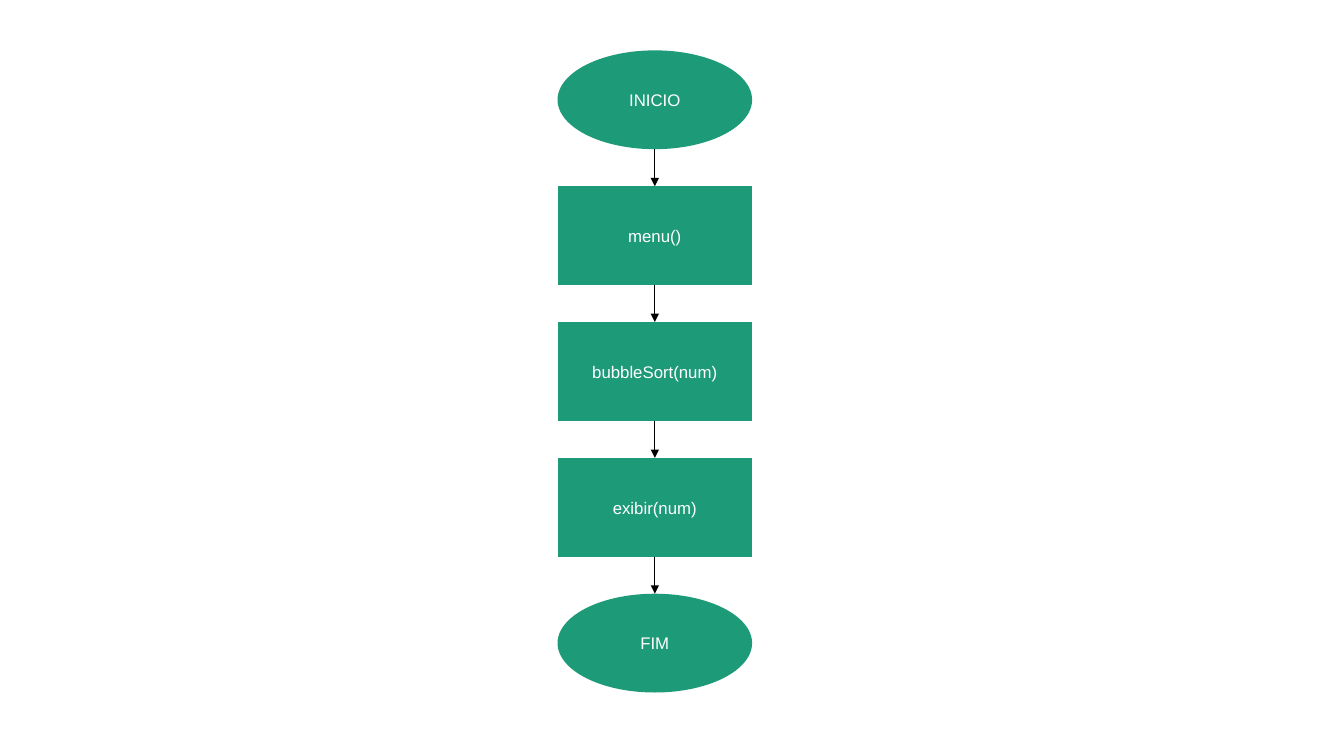
"""Builds a vertical flowchart slide of a sorting program."""
from dataclasses import dataclass

from lxml.etree import SubElement
from pptx import Presentation
from pptx.dml.color import RGBColor
from pptx.enum.shapes import MSO_CONNECTOR as Connector, MSO_SHAPE as Shape
from pptx.enum.text import MSO_ANCHOR as Anchor, PP_ALIGN as Align
from pptx.oxml.ns import qn
from pptx.util import Inches, Pt


@dataclass(frozen=True)
class Theme:
    """Colours, font and sizes of the flowchart."""
    step_fill: RGBColor = RGBColor(0x1D, 0x9A, 0x78)
    step_text: RGBColor = RGBColor(0xFF, 0xFF, 0xFF)
    arrow: RGBColor = RGBColor(0x00, 0x00, 0x00)
    font: str = "Arial"
    text_size: Pt = Pt(12)
    arrow_width: Pt = Pt(0.5)


class Flowchart:
    """Draws steps and arrows on one slide in a given theme."""

    def __init__(self, slide, theme):
        """Keeps the slide and its theme."""
        self.slide = slide
        self.theme = theme

    def step(self, kind, label, left, top, width, height):
        """Adds a filled shape with a centred label."""
        box = self.slide.shapes.add_shape(
            kind, Inches(left), Inches(top), Inches(width), Inches(height))
        box.shadow.inherit = False
        box.fill.solid()
        box.fill.fore_color.rgb = self.theme.step_fill
        box.line.fill.background()
        frame = box.text_frame
        frame.word_wrap = True
        frame.margin_left = frame.margin_right = 0
        frame.vertical_anchor = Anchor.MIDDLE
        para = frame.paragraphs[0]
        para.alignment = Align.CENTER
        span = para.add_run()
        span.text = label
        span.font.name = self.theme.font
        span.font.size = self.theme.text_size
        span.font.color.rgb = self.theme.step_text

    def arrow_down(self, x, start, end):
        """Adds a vertical arrow between two heights."""
        arrow = self.slide.shapes.add_connector(
            Connector.STRAIGHT, Inches(x), Inches(start), Inches(x), Inches(end))
        arrow.line.color.rgb = self.theme.arrow
        arrow.line.width = self.theme.arrow_width
        SubElement(arrow.line._get_or_add_ln(), qn("a:tailEnd"), type="triangle")
        SubElement(arrow._element.spPr, qn("a:effectLst"))


STEPS = [
    (Shape.OVAL, "INICIO"),
    (Shape.FLOWCHART_PREDEFINED_PROCESS, "menu()"),
    (Shape.FLOWCHART_PREDEFINED_PROCESS, "bubbleSort(num)"),
    (Shape.FLOWCHART_PREDEFINED_PROCESS, "exibir(num)"),
    (Shape.OVAL, "FIM"),
]
LEFT, FIRST_TOP, WIDTH, HEIGHT = 5.53, 0.5, 1.93, 0.98
PITCH = 1.3475


def main():
    """Builds the deck and saves it."""
    deck = Presentation()
    deck.slide_width, deck.slide_height = Inches(13.33), Inches(7.5)
    page = deck.slides.add_slide(deck.slide_layouts[6])
    chart = Flowchart(page, Theme())
    tops = [FIRST_TOP + PITCH * index for index in range(len(STEPS))]
    for (kind, label), top in zip(STEPS, tops):
        chart.step(kind, label, LEFT, top, WIDTH, HEIGHT)
    for top, next_top in zip(tops, tops[1:]):
        chart.arrow_down(LEFT + WIDTH / 2, top + HEIGHT, next_top)
    deck.save("out.pptx")


if __name__ == "__main__":
    main()
